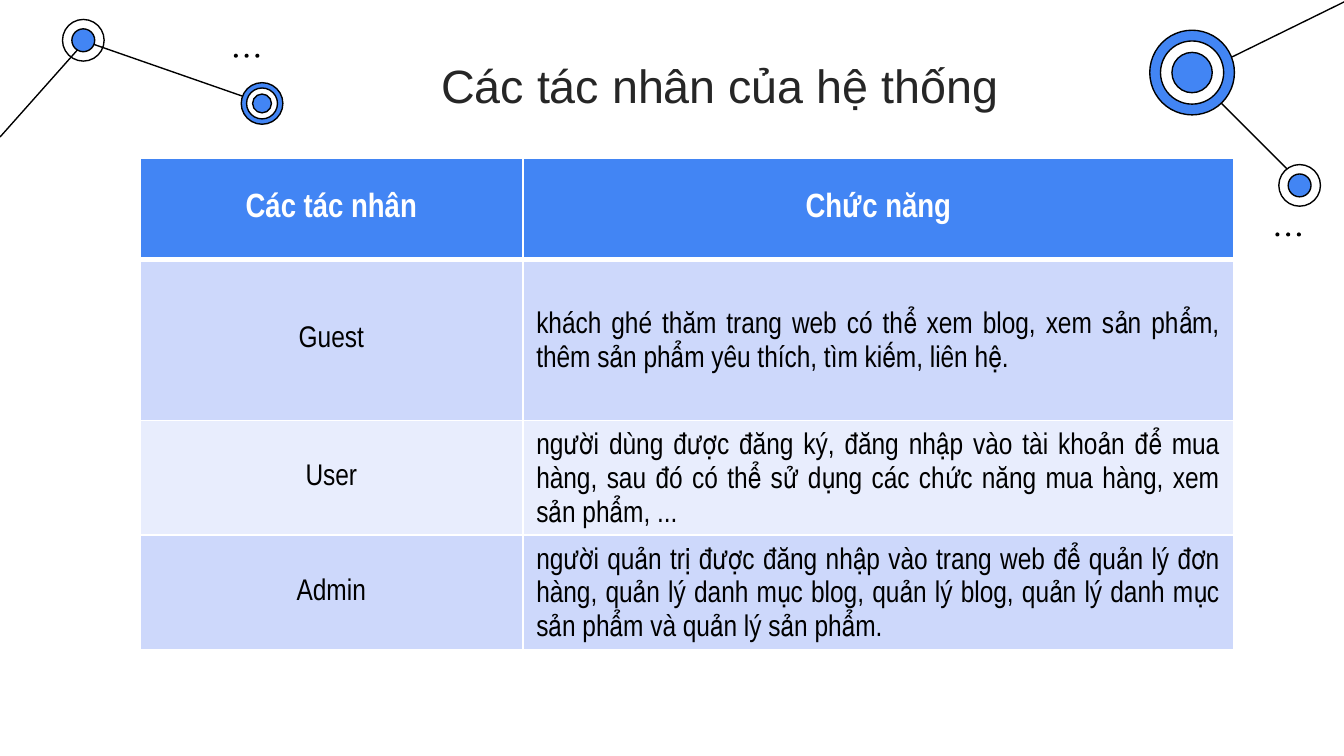
from pptx import Presentation
from pptx.dml.color import RGBColor
from pptx.enum.shapes import MSO_CONNECTOR, MSO_SHAPE
from pptx.enum.text import MSO_ANCHOR, MSO_AUTO_SIZE, PP_ALIGN
from pptx.oxml.ns import qn
from pptx.util import Inches, Pt
from lxml import etree

BLUE = RGBColor(0x42, 0x85, 0xF4)
BLACK = RGBColor(0x00, 0x00, 0x00)
WHITE = RGBColor(0xFF, 0xFF, 0xFF)
DARK = RGBColor(0x26, 0x26, 0x26)
BAND_DARK = RGBColor(0xCD, 0xD8, 0xFB)
BAND_LIGHT = RGBColor(0xE8, 0xED, 0xFD)
STRAIGHT = MSO_CONNECTOR.STRAIGHT
OVAL = MSO_SHAPE.OVAL
TOP, MIDDLE = MSO_ANCHOR.TOP, MSO_ANCHOR.MIDDLE
CENTER, JUSTIFY = PP_ALIGN.CENTER, PP_ALIGN.JUSTIFY
NO_FIT = MSO_AUTO_SIZE.NONE
TITLE_ONLY = 5

LINKS = [
    ((9.67, 1.35), (8.87, 0.55)),
    ((0.64, 0.31), (1.96, 0.77)),
    ((0, 1.02), (0.64, 0.3)),
    ((10.01, 0.01), (8.91, 0.55)),
]
NODES = [
    ((0.62, 0.3), [(0.31, None), (0.17, BLUE)]),
    ((1.95, 0.77), [(0.31, BLUE), (0.23, WHITE), (0.14, BLUE)]),
    ((8.87, 0.54), [(0.63, BLUE), (0.47, WHITE), (0.3, BLUE)]),
    ((9.67, 1.38), [(0.31, WHITE), (0.17, BLUE)]),
]
DOT_ROWS = [(1.74, 0.4), (9.49, 1.73)]
ACTORS = [
    ("Các tác nhân", "Chức năng"),
    ("Guest", "khách ghé thăm trang web có thể xem blog, xem sản phẩm, "
     "thêm sản phẩm yêu thích, tìm kiếm, liên hệ."),
    ("User", "người dùng được đăng ký, đăng nhập vào tài khoản để mua hàng, "
     "sau đó có thể sử dụng các chức năng mua hàng, xem sản phẩm, ..."),
    ("Admin", "người quản trị được đăng nhập vào trang web để quản lý đơn hàng, "
     "quản lý danh mục blog, quản lý blog, quản lý danh mục sản phẩm "
     "và quản lý sản phẩm."),
]


def write(tf, text, font="Arial Narrow", size=16, color=BLACK, bold=False,
          align=CENTER, spacing=None):
    """Put one formatted paragraph in a text frame."""
    p = tf.paragraphs[0]
    p.alignment = align
    p.line_spacing = spacing
    r = p.add_run()
    r.text = text
    r.font.name = font
    r.font.size = Pt(size)
    r.font.bold = bold
    r.font.color.rgb = color


class Deck:
    """Holds the line style and the current slide."""

    def __init__(self, slide, line_width=0.75):
        self.s = slide
        self.line_width = Pt(line_width)

    def title(self, text, x, y, w, h):
        sp = self.s.shapes.title
        sp.left, sp.top, sp.width, sp.height = map(Inches, (x, y, w, h))
        tf = sp.text_frame
        tf.word_wrap, tf.auto_size, tf.vertical_anchor = True, NO_FIT, TOP
        tf.margin_left = tf.margin_right = Inches(0.1)
        tf.margin_top = tf.margin_bottom = Inches(0.1)
        write(tf, text, font="Arial", size=25, color=DARK, spacing=0.9)

    def link(self, start, end):
        cx = self.s.shapes.add_connector(
            STRAIGHT, *map(Inches, (*start, *end)))
        cx.line.color.rgb = BLACK
        cx.line.width = self.line_width
        etree.SubElement(cx._element.spPr, qn("a:effectLst"))

    def disc(self, center, diameter, fill, outlined=True):
        x, y = (Inches(c - diameter / 2) for c in center)
        sp = self.s.shapes.add_shape(
            OVAL, x, y, Inches(diameter), Inches(diameter))
        sp.shadow.inherit = False
        if fill is None:
            sp.fill.background()
        else:
            sp.fill.solid()
            sp.fill.fore_color.rgb = fill
        if outlined:
            sp.line.color.rgb = BLACK
            sp.line.width = self.line_width
        else:
            sp.line.fill.background()

    def node(self, center, rings):
        for diameter, fill in rings:
            self.disc(center, diameter, fill)

    def dots(self, x, y, size=0.03, step=0.08):
        for i in range(3):
            center = (x + i * step + size / 2, y + size / 2)
            self.disc(center, size, BLACK, outlined=False)

    def borders(self, cell, **widths):
        tcPr = cell._tc.get_or_add_tcPr()
        for i, (side, width) in enumerate(widths.items()):
            ln = etree.Element(qn(f"a:ln{side}"), w=str(Pt(width)))
            fill = etree.SubElement(ln, qn("a:solidFill"))
            etree.SubElement(fill, qn("a:srgbClr"), val=str(WHITE))
            tcPr.insert(i, ln)

    def cell(self, cell, text, fill, **fmt):
        cell.fill.solid()
        cell.fill.fore_color.rgb = fill
        cell.vertical_anchor = MIDDLE
        write(cell.text_frame, text, **fmt)

    def table(self, rows, x, y, col_widths, row_heights):
        tbl = self.s.shapes.add_table(
            len(rows), len(col_widths), Inches(x), Inches(y),
            Inches(sum(col_widths)), Inches(sum(row_heights))).table
        for col, width in zip(tbl.columns, col_widths):
            col.width = Inches(width)
        for i, (texts, height) in enumerate(zip(rows, row_heights)):
            tbl.rows[i].height = Inches(height)
            header = i == 0
            fill = BLUE if header else (BAND_DARK if i % 2 else BAND_LIGHT)
            for j, text in enumerate(texts):
                if header:
                    fmt = {"size": 18, "color": WHITE, "bold": True}
                elif j == 1:
                    fmt = {"align": JUSTIFY, "spacing": 1.2}
                else:
                    fmt = {}
                self.cell(tbl.cell(i, j), text, fill, **fmt)
                self.borders(tbl.cell(i, j), L=1, R=1,
                             T=3 if i == 1 else 1, B=3 if header else 1)


def main():
    """Build the slide of system actors."""
    prs = Presentation()
    prs.slide_width = Inches(10)
    prs.slide_height = prs.slide_width * 9 // 16
    deck = Deck(prs.slides.add_slide(prs.slide_layouts[TITLE_ONLY]))
    for start, end in LINKS:
        deck.link(start, end)
    for center, rings in NODES:
        deck.node(center, rings)
    for x, y in DOT_ROWS:
        deck.dots(x, y)
    deck.table(ACTORS, 1.04, 1.18, [2.85, 5.29], [0.75, 1.2, 0.75, 0.75])
    deck.title("Các tác nhân của hệ thống", 1.88, 0.37, 6.95, 0.65)
    prs.save("out.pptx")


if __name__ == "__main__":
    main()
